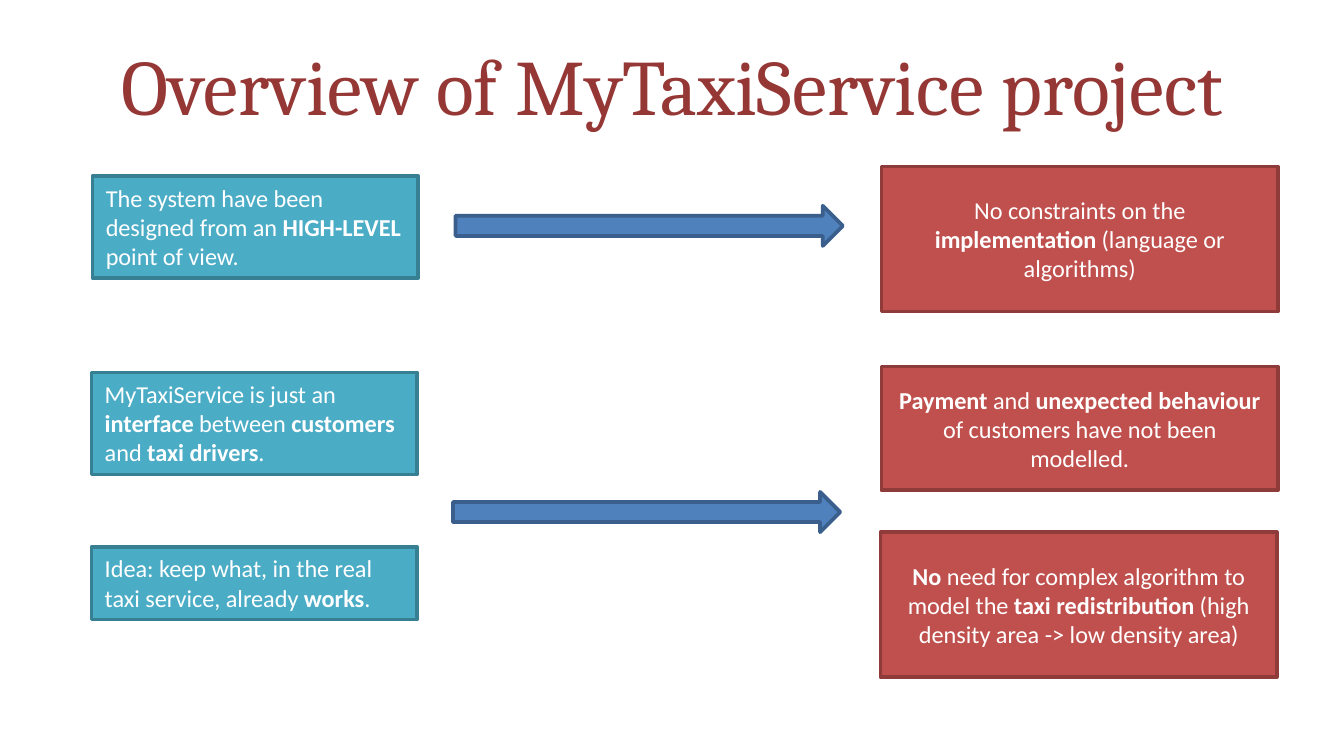
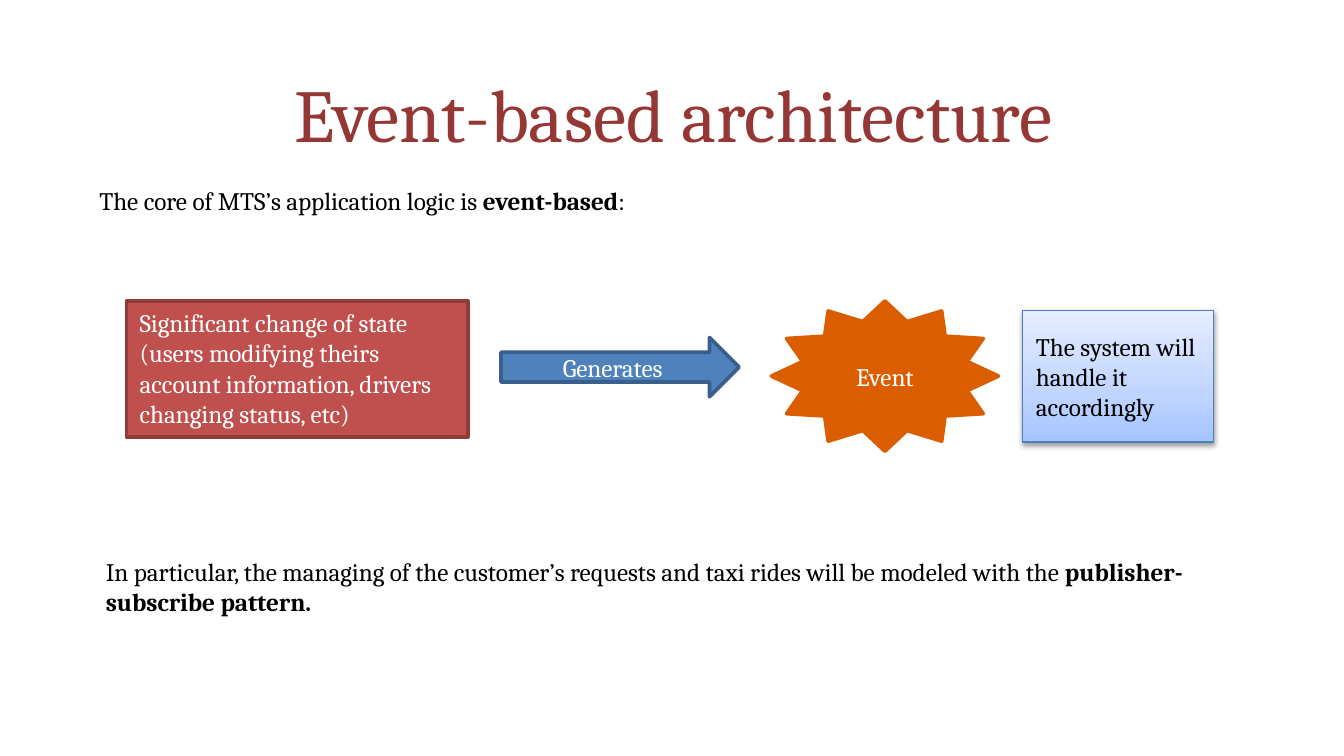
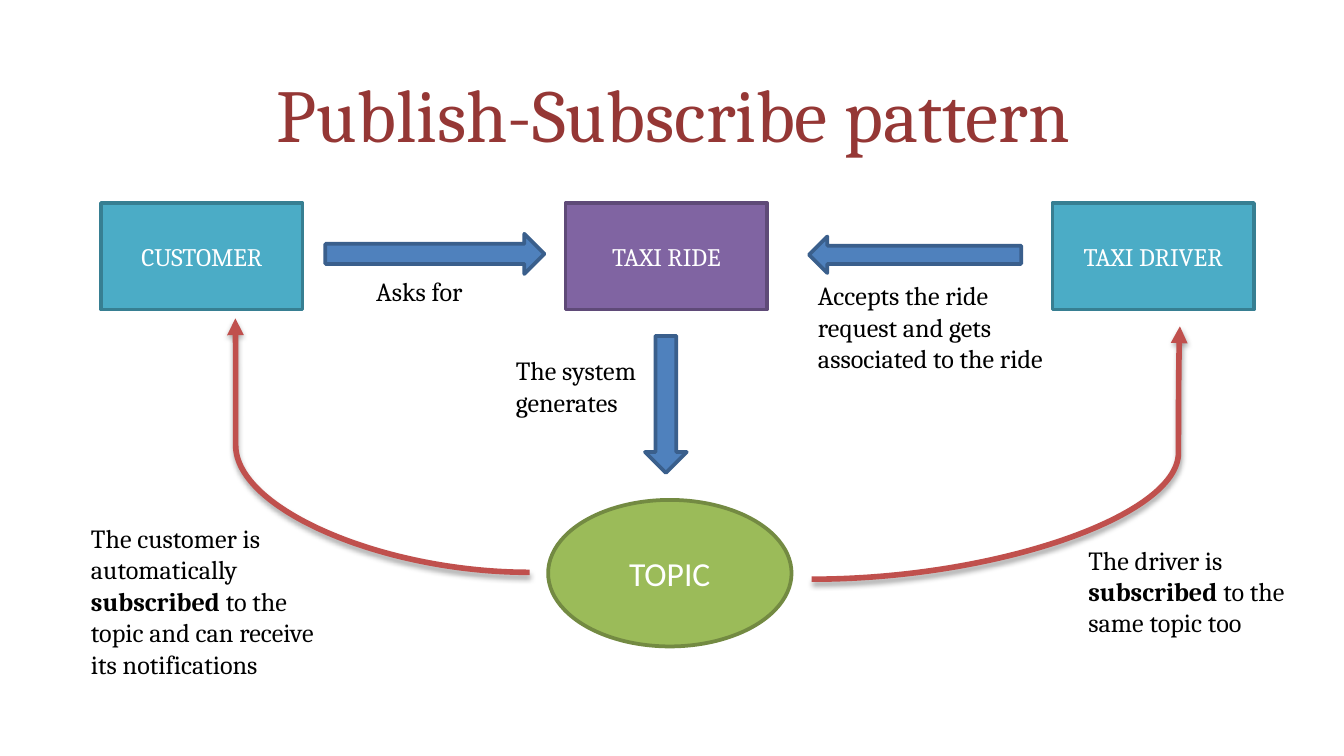
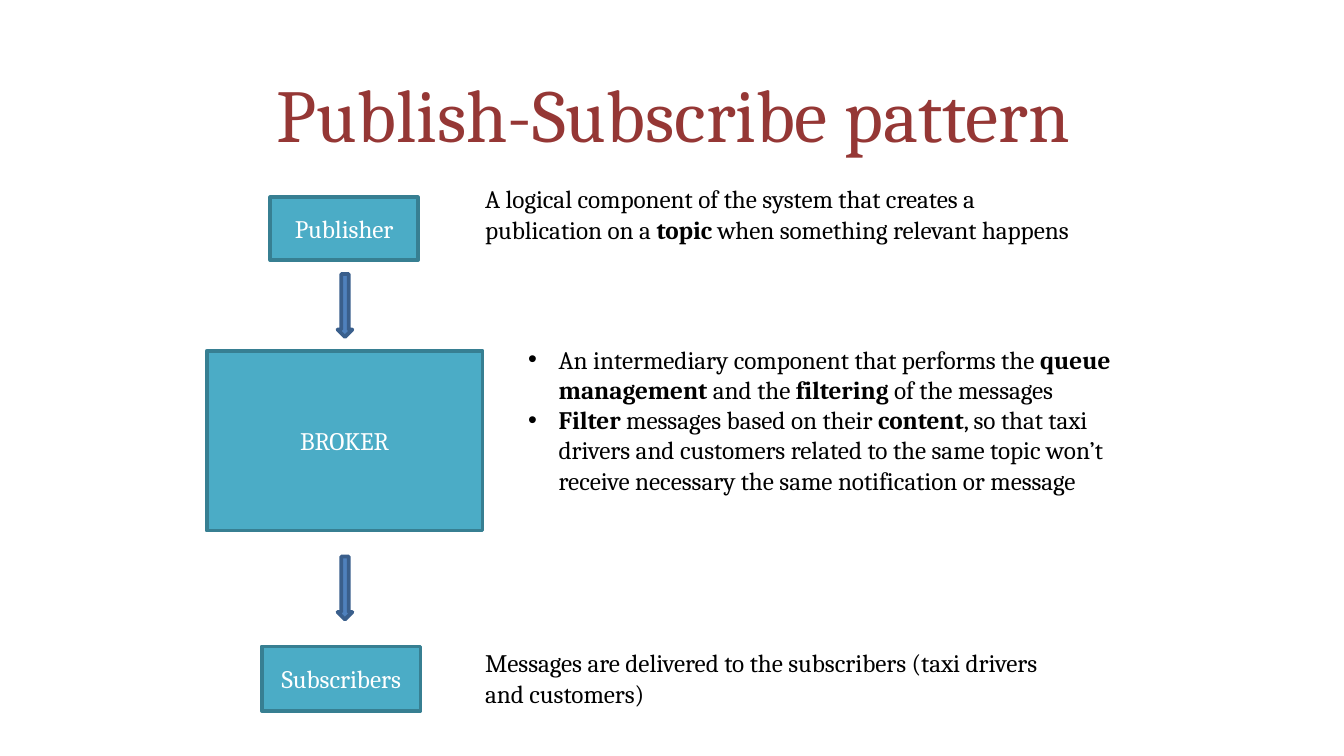
from copy import deepcopy

from lxml import etree
from pptx import Presentation
from pptx import util as u
from pptx.dml.color import RGBColor
from pptx.enum import shapes, text
from pptx.oxml import ns

HUES = {
    "title": "953735", "ink": "000000", "white": "FFFFFF",
    "teal": "4BACC6", "teal_edge": "377F92",
    "red": "C0504D", "red_edge": "8E3B39",
    "blue": "4F81BD", "blue_edge": "3A5F8C",
    "plum": "8064A2", "plum_edge": "5F4A78",
    "green": "9BBB59", "green_edge": "738A42",
    "orange": "DA5D00", "orange_edge": "DA5D00",
    "sky_edge": "4B7EBC",
}
SKY = [(0, "A4C4FF"), (0.35, "BFD4FF"), (1, "E6EEFF")]
KIND = shapes.MSO_SHAPE
MID = text.MSO_ANCHOR.MIDDLE
TOP = text.MSO_ANCHOR.TOP
LEFT = text.PP_ALIGN.LEFT
CENTER = text.PP_ALIGN.CENTER


def hue(name):
    return RGBColor.from_string(HUES[name])


def add(parent, tag, **attrs):
    node = etree.SubElement(parent, ns.qn(tag))
    for key, value in attrs.items():
        node.set(key, str(value))
    return node


class Deck:
    def __init__(self):
        self.prs = Presentation()
        self.prs.slide_width = u.Cm(25.4)
        self.prs.slide_height = u.Cm(14.29)
        self.font = "Cambria"
        self.size = 13.5

    def start(self, title, left=1.3, size=40, anchor=text.MSO_ANCHOR.BOTTOM, inset=0):
        self.page = self.prs.slides.add_slide(self.prs.slide_layouts[5])
        head = self.page.shapes.title
        head.left, head.top, head.width, head.height = map(u.Cm, (left, 0.58, 22.86, 2.39))
        frame = head.text_frame
        frame.auto_size = text.MSO_AUTO_SIZE.NONE
        frame.margin_left = frame.margin_right = u.Cm(inset)
        frame.margin_top, frame.margin_bottom = u.Cm(0.13), u.Cm(inset / 2)
        self.label(frame, [title], "title", CENTER, anchor, "Cambria", size)

    def label(self, frame, lines, ink, align, anchor, font=None, size=None):
        frame.word_wrap = True
        frame.vertical_anchor = anchor
        for i, line in enumerate(lines):
            para = frame.add_paragraph() if i else frame.paragraphs[0]
            para.alignment = align
            for j, part in enumerate(line.split("**")):
                if part:
                    run = para.add_run()
                    run.text = part
                    run.font.name = font or self.font
                    run.font.size = u.Pt(size or self.size)
                    run.font.bold = j % 2 == 1
                    run.font.color.rgb = hue(ink)

    def shape(self, kind, fill, spot, words="", align=CENTER, anchor=MID, **style):
        item = self.page.shapes.add_shape(kind, *map(u.Cm, spot))
        item.shadow.inherit = False
        item.fill.solid()
        item.fill.fore_color.rgb = hue(fill)
        item.line.color.rgb = hue(fill + "_edge")
        item.line.width = u.Pt(2)
        if words:
            self.label(item.text_frame, [words], "white", align, anchor, **style)
        return item

    def box(self, fill, spot, words, **style):
        return self.shape(KIND.RECTANGLE, fill, spot, words, **style)

    def arrow(self, spot, words="", kind=KIND.RIGHT_ARROW, turn=0):
        self.shape(kind, "blue", spot, words).rotation = turn

    def note(self, spot, *lines, bullet=False, size=None):
        item = self.page.shapes.add_textbox(*map(u.Cm, spot))
        self.label(item.text_frame, lines, "ink", LEFT, TOP, size=size)
        if bullet:
            for para in item.text_frame.paragraphs:
                props = para._p.get_or_add_pPr()
                props.set("marL", str(u.Cm(0.58)))
                props.set("indent", str(-u.Cm(0.58)))
                add(props, "a:buFont", typeface="Arial")
                add(props, "a:buChar", char="•")

    def shade(self, item, alpha, gap):
        props = item._element.spPr
        for old in props.findall(ns.qn("a:effectLst")):
            props.remove(old)
        drop = add(add(props, "a:effectLst"), "a:outerShdw", blurRad=u.Pt(3.1),
                   dist=u.Pt(gap), dir=5400000, rotWithShape=0)
        add(add(drop, "a:srgbClr", val=HUES["ink"]), "a:alpha", val=alpha * 1000)

    def glow(self, spot, words):
        item = self.page.shapes.add_shape(KIND.RECTANGLE, *map(u.Cm, spot))
        item.fill.gradient()
        item.fill.gradient_angle = 90
        stops = item._element.spPr.find(ns.qn("a:gradFill")).find(ns.qn("a:gsLst"))
        stops.append(deepcopy(stops[0]))
        for stop, (place, shade) in zip(item.fill.gradient_stops, SKY):
            stop.position = place
            stop.color.rgb = RGBColor.from_string(shade)
        item.line.color.rgb = hue("sky_edge")
        item.line.width = u.Pt(0.75)
        self.shade(item, 38, 1.6)
        self.label(item.text_frame, [words], "ink", LEFT, MID)

    def curve(self, ends, bend):
        link = self.page.shapes.add_connector(shapes.MSO_CONNECTOR.CURVE, *map(u.Cm, ends))
        link.line.color.rgb = hue("red")
        link.line.width = u.Pt(3)
        props = link._element.spPr
        add(props.find(ns.qn("a:ln")), "a:tailEnd", type="triangle")
        guides = props.find(ns.qn("a:prstGeom")).find(ns.qn("a:avLst"))
        add(guides, "a:gd", name="adj1", fmla=f"val {bend}")
        self.shade(link, 35, 1.8)


def overview(deck):
    deck.start("Overview of MyTaxiService project", 1.27, 42, TOP, 0.25)
    deck.font, deck.size = "Calibri", 13
    for left, top, high, words in (
        (1.75, 3.33, 1.93, "The system have been designed from an **HIGH-LEVEL** point of view."),
        (1.73, 7.04, 1.93, "MyTaxiService is just an **interface** between **customers** and **taxi drivers**."),
        (1.73, 10.34, 1.37, "Idea: keep what, in the real taxi service, already **works**."),
    ):
        deck.box("teal", (left, top, 6.15, high), words, align=LEFT, anchor=TOP)
    for left, top, high, words in (
        (16.66, 3.15, 2.74, "No constraints on the **implementation** (language or algorithms)"),
        (16.66, 6.93, 2.34, "**Payment **and **unexpected behaviour **of customers have not been modelled."),
        (16.64, 10.06, 2.74, "**No** need for complex algorithm to model the **taxi redistribution **"
                             "(high density area -> low density area)"),
    ):
        deck.box("red", (left, top, 7.49, high), words)
    for left, top in ((8.61, 3.89), (8.56, 9.3)):
        deck.arrow((left, top, 7.32, 0.76))
    deck.font, deck.size = "Cambria", 13.5


def events(deck):
    deck.start("Event-based architecture")
    deck.note((1.63, 3.38, 17.25, 0.84), "The core of MTS’s application logic is **event-based**:")
    deck.arrow((9.47, 6.38, 4.5, 1.12), "Generates")
    deck.box("red", (2.39, 5.69, 6.45, 2.57),
             "Significant change of state (users modifying theirs account information, "
             "drivers changing status, etc)", align=LEFT, anchor=TOP)
    deck.shape(KIND.STAR_12_POINT, "orange", (14.58, 5.69, 4.29, 2.84), "Event")
    deck.glow((19.33, 5.87, 3.61, 2.49), "The system will handle it accordingly")
    deck.note((1.75, 10.39, 21.46, 1.98),
              "In particular, the managing of the customer’s requests and taxi rides will be "
              "modeled with the **publisher-subscribe pattern.**")


def pattern(deck):
    deck.start("Publish-Subscribe pattern")
    for fill, left, words in (("teal", 1.91, "CUSTOMER"), ("plum", 10.69, "TAXI RIDE"),
                              ("teal", 19.89, "TAXI DRIVER")):
        deck.box(fill, (left, 3.84, 3.81, 2.01), words)
    deck.arrow((6.15, 4.42, 4.14, 0.76))
    deck.arrow((15.29, 4.47, 4.01, 0.69), turn=180)
    deck.arrow((12.19, 6.35, 0.79, 2.59), kind=KIND.DOWN_ARROW)
    deck.shape(KIND.OVAL, "green", (10.36, 9.45, 4.6, 2.77), "TOPIC", font="Calibri", size=18)
    deck.curve((10.01, 10.82, 4.45, 6.02), 99900)
    deck.curve((15.34, 10.95, 22.3, 6.17), 99600)
    for spot, words in (
        ((6.86, 5.08, 2.95, 0.86), "Asks for"),
        ((9.5, 6.58, 2.95, 1.45), "The system generates"),
        ((15.21, 5.16, 5.26, 2.06), "Accepts the ride request and gets associated to the ride"),
        ((1.47, 9.75, 4.95, 3.33), "The customer is automatically **subscribed** to the topic "
                                   "and can receive its notifications"),
        ((20.32, 10.16, 4.95, 2.06), "The driver is **subscribed** to the same topic too"),
    ):
        deck.note(spot, words, size=14)


def broker(deck):
    deck.start("Publish-Subscribe pattern")
    for spot, words in (((5.11, 3.73, 2.79, 1.19), "Publisher"),
                        ((3.91, 6.63, 5.21, 3.4), "BROKER"),
                        ((4.95, 12.22, 3, 1.22), "Subscribers")):
        deck.box("teal", spot, words)
    for top in (5.18, 10.52):
        deck.arrow((6.38, top, 0.28, 1.19), kind=KIND.DOWN_ARROW)
    deck.note((8.92, 3.35, 11.66, 1.98),
              "A logical component of the system that creates a publication on a "
              "**topic **when something relevant happens")
    deck.note((9.73, 6.38, 11.66, 4.29),
              "An intermediary component that performs the **queue management **and the "
              "**filtering** of the messages",
              "**Filter **messages based on their **content**, so that taxi drivers and customers "
              "related to the same topic won’t receive necessary the same notification or message",
              bullet=True)
    deck.note((8.92, 12.12, 11.66, 1.42),
              "Messages are delivered to the subscribers (taxi drivers and customers)")


def main():
    deck = Deck()
    for build in (overview, events, pattern, broker):
        build(deck)
    deck.prs.save("out.pptx")


if __name__ == "__main__":
    main()
